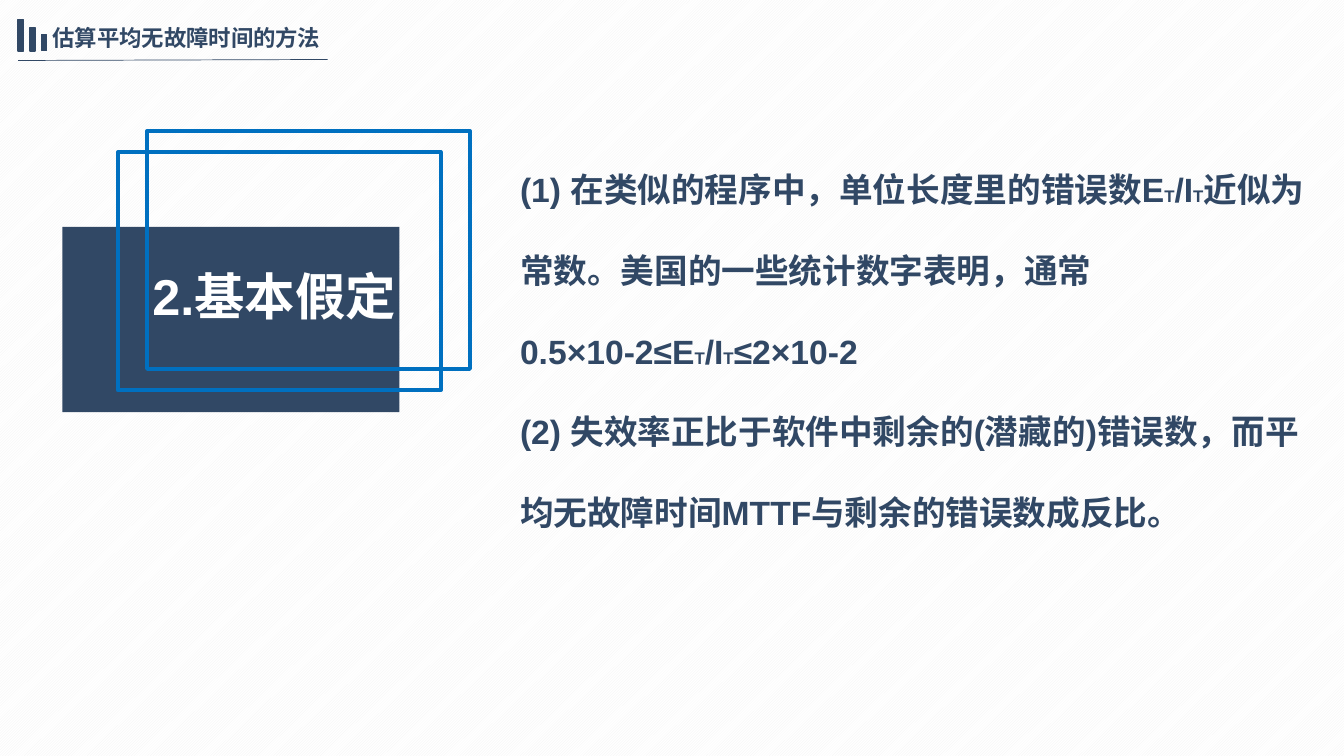
from pptx import Presentation
from pptx import util as u
from pptx.dml.color import RGBColor
from pptx.enum import dml, shapes, text
from pptx.oxml.ns import qn
from lxml import etree

HUES = {"navy": "314865", "blue": "0070C0", "white": "FFFFFF", "pale": "F2F2F2"}
FONT = "Arial"


def hue(name):
    return RGBColor.from_string(HUES[name])


def write(para, words, size=24, color="navy", align=None, space=None):
    """Add words to a paragraph; words between bars are set at half size."""
    para.alignment = align
    para.line_spacing = space
    for i, part in enumerate(words.split("|")):
        run = para.add_run()
        run.text = part
        run.font.name = FONT
        run.font.size = u.Pt(size / 2 if i % 2 else size)
        run.font.bold = True
        run.font.color.rgb = hue(color)


class Deck:
    """Places elements by percent of the slide's width and height."""

    def __init__(self):
        self.prs = Presentation()
        self.prs.slide_width = u.Inches(13.33)
        self.prs.slide_height = u.Inches(7.5)
        self.slide = self.prs.slides.add_slide(self.prs.slide_layouts[5])
        fill = self.slide.background.fill
        fill.patterned()
        fill.pattern = dml.MSO_PATTERN.DARK_UPWARD_DIAGONAL
        fill.fore_color.rgb = hue("pale")
        fill.back_color.rgb = hue("white")

    def spot(self, *shares):
        """Turn percents (x, y, x, y) into lengths."""
        sides = (self.prs.slide_width, self.prs.slide_height) * 2
        return [u.Emu(round(s * side / 100)) for s, side in zip(shares, sides)]

    def frame(self, box):
        body = box.text_frame
        body.word_wrap = True
        body.auto_size = text.MSO_AUTO_SIZE.NONE
        body.vertical_anchor = text.MSO_ANCHOR.TOP
        return body

    def title(self, place, words, **form):
        box = self.slide.shapes.title
        box.left, box.top, box.width, box.height = self.spot(*place)
        write(self.frame(box).paragraphs[0], words, **form)

    def label(self, place, lines, foot=None, **form):
        body = self.frame(self.slide.shapes.add_textbox(*self.spot(*place)))
        if foot is not None:
            body.vertical_anchor = text.MSO_ANCHOR.BOTTOM
            body.margin_bottom = u.Inches(foot)
        for i, words in enumerate(lines):
            para = body.add_paragraph() if i else body.paragraphs[0]
            write(para, words, **form)

    def rect(self, place, fill=None, line=None, width=1):
        box = self.slide.shapes.add_shape(
            shapes.MSO_SHAPE.RECTANGLE, *self.spot(*place))
        box.shadow.inherit = False
        if fill:
            box.fill.solid()
            box.fill.fore_color.rgb = hue(fill)
        else:
            box.fill.background()
        if line:
            box.line.color.rgb = hue(line)
            box.line.width = u.Pt(width)
        else:
            box.line.fill.background()

    def rule(self, ends, color="navy", width=0.5):
        line = self.slide.shapes.add_connector(
            shapes.MSO_CONNECTOR.STRAIGHT, *self.spot(*ends))
        line.line.color.rgb = hue(color)
        line.line.width = u.Pt(width)
        etree.SubElement(line._element.spPr, qn("a:effectLst"))


def main():
    deck = Deck()
    size = (24.01, 31.47)

    # Section block with its heading and first outline
    deck.rect((4.65, 30, 25.06, 24.53), fill="navy")
    deck.rect((8.78, 20.13, *size), line="blue", width=3)
    deck.label((9.53, 34.4, 21.76, 9.47), ["2.基本假定"], size=36,
               color="white", align=text.PP_ALIGN.CENTER)

    # Assumptions
    deck.label((37.96, 11.2, 60.77, 71.33), [
        "(1) 在类似的程序中，单位长度里的错误数E|T|/I|T|近似为常数。"
        "美国的一些统计数字表明，通常",
        "0.5×10-2≤E|T|/I|T|≤2×10-2",
        "(2) 失效率正比于软件中剩余的(潜藏的)错误数，"
        "而平均无故障时间MTTF与剩余的错误数成反比。",
    ], foot=0.91, space=2)

    # Title with underline and three shrinking bars
    deck.rule((1.35, 8, 24.38, 7.87))
    deck.title((3.15, 2.53, 22.36, 8.53), "估算平均无故障时间的方法",
               size=16, align=text.PP_ALIGN.JUSTIFY)
    base = 6.73
    for i, tall in enumerate((4.13, 3.07, 2.13)):
        deck.rect((1.35 + 0.87 * i, base - tall, 0.38, tall),
                  fill="navy", line="navy")

    # Second outline, in front
    deck.rect((10.95, 17.33, *size), line="blue", width=3)
    deck.prs.save("out.pptx")


if __name__ == "__main__":
    main()
